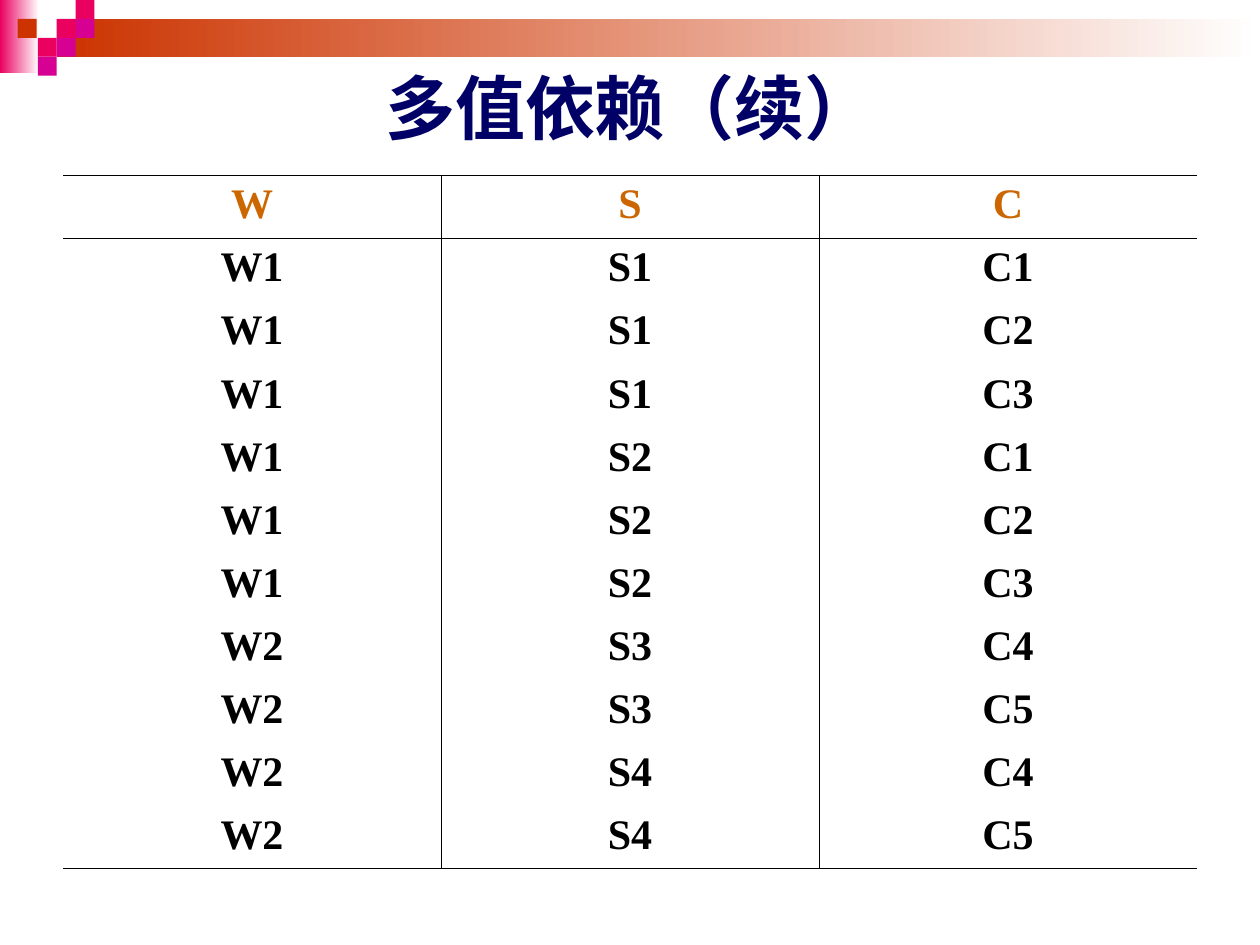
from pptx import Presentation
from pptx.dml.color import RGBColor
from pptx.enum.shapes import MSO_SHAPE
from pptx.enum.text import MSO_ANCHOR, PP_ALIGN
from pptx.oxml.ns import qn
from pptx.util import Inches, Pt
from lxml.etree import SubElement

ROSE = RGBColor(0xEA, 0x00, 0x5F)
MAGENTA = RGBColor(0xD6, 0x00, 0x93)
RUST = RGBColor(0xCC, 0x33, 0x00)
NAVY = RGBColor(0x00, 0x00, 0x66)
ORANGE = RGBColor(0xCC, 0x66, 0x00)
BLACK = RGBColor(0x00, 0x00, 0x00)
WHITE = RGBColor(0xFF, 0xFF, 0xFF)

# Content
TITLE = "多值依赖（续）"
HEADER = ("W", "S", "C")
COURSES = [  # each teacher is paired with each book of the course
    ("W1", ("S1", "S2"), ("C1", "C2", "C3")),
    ("W2", ("S3", "S4"), ("C4", "C5")),
]
ROWS = [HEADER] + [(w, s, c) for w, s_set, c_set in COURSES
                   for s in s_set for c in c_set]

# Banner: left, top, width, height, colour
FADES = [(0, 0, 0.31, 0.58, ROSE), (0.45, 0.15, 9.55, 0.3, RUST)]
TILE = 0.15
TILES = [  # left, top, colour
    (0.45, 0.15, ROSE), (0.6, 0, ROSE), (0.6, 0.15, MAGENTA),
    (0.3, 0.3, ROSE), (0.14, 0.15, RUST), (0.45, 0.3, MAGENTA),
    (0.3, 0.45, MAGENTA),
]
COL_WIDTH, ROW_HEIGHT = 3, 0.5
BORDER = Pt(0.45)


def add_block(slide, left, top, width, height, color, fade=False):
    s = slide.shapes.add_shape(MSO_SHAPE.RECTANGLE, Inches(left), Inches(top),
                               Inches(width), Inches(height))
    s.shadow.inherit = False
    s.line.fill.background()
    if fade:
        s.fill.gradient()
        s.fill.gradient_angle = 0
        for stop, rgb in zip(s.fill.gradient_stops, (color, WHITE)):
            stop.color.rgb = rgb
    else:
        s.fill.solid()
        s.fill.fore_color.rgb = color


def format_text(p, font, size, color):
    p.alignment = PP_ALIGN.CENTER
    f = p.runs[0].font
    f.name, f.size, f.bold = font, Pt(size), True
    f.color.rgb = color


def set_borders(cell, visible):
    tc_pr = cell._tc.get_or_add_tcPr()
    for side in "LRTB":
        ln = SubElement(tc_pr, qn(f"a:ln{side}"), w=str(BORDER))
        if side in visible:
            fill = SubElement(ln, qn("a:solidFill"))
            SubElement(fill, qn("a:srgbClr"), val=str(BLACK))
        else:
            SubElement(ln, qn("a:noFill"))


prs = Presentation()
prs.slide_width, prs.slide_height = Inches(10), Inches(7.5)
slide = prs.slides.add_slide(prs.slide_layouts[6])

# Banner
for block in FADES:
    add_block(slide, *block, fade=True)
for left, top, color in TILES:
    add_block(slide, left, top, TILE, TILE, color)

# Title
tf = slide.shapes.add_textbox(Inches(0.5), Inches(0.36),
                              Inches(9), Inches(0.97)).text_frame
tf.word_wrap = True
tf.vertical_anchor = MSO_ANCHOR.MIDDLE
tf.text = TITLE
format_text(tf.paragraphs[0], "Arial", 40, NAVY)

# Table: rules between columns, around the header and below the last row
n_rows, n_cols = len(ROWS), len(HEADER)
table = slide.shapes.add_table(
    n_rows, n_cols, Inches(0.5), Inches(1.39),
    Inches(COL_WIDTH * n_cols), Inches(ROW_HEIGHT * n_rows)).table
table.first_row = table.horz_banding = False
for i, row in enumerate(ROWS):
    for j, text in enumerate(row):
        cell = table.cell(i, j)
        cell.text = text
        format_text(cell.text_frame.paragraphs[0], "Times New Roman", 24,
                    ORANGE if i == 0 else BLACK)
        visible = (("L" if j > 0 else "") + ("R" if j < n_cols - 1 else "")
                   + ("T" if i < 2 else "")
                   + ("B" if i in (0, n_rows - 1) else ""))
        set_borders(cell, visible)
        cell.fill.background()

prs.save("out.pptx")
